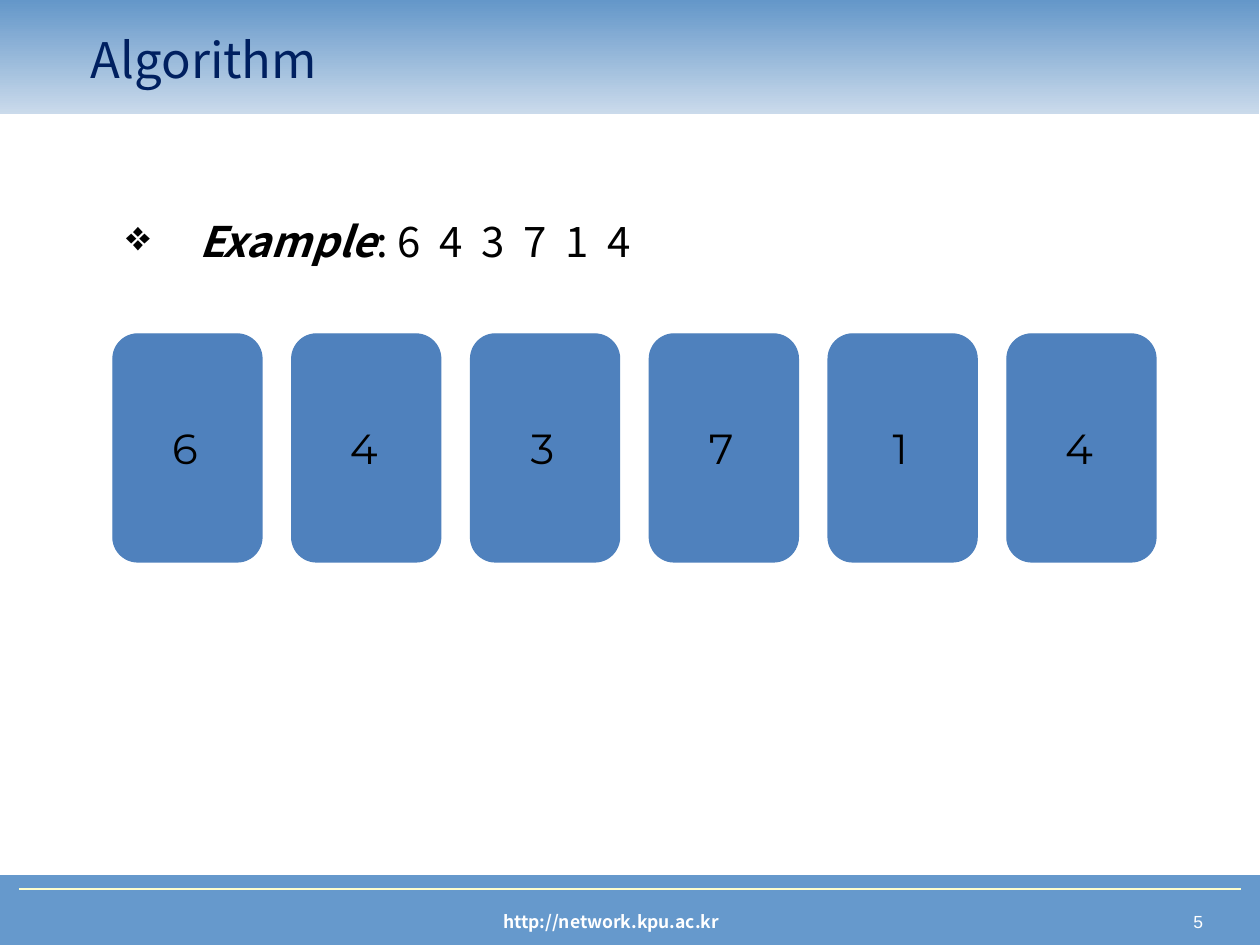
"""Build the Algorithm slide with its row of number cards."""
from lxml import etree
from pptx import Presentation
from pptx.dml.color import RGBColor
from pptx.enum import shapes, text
from pptx.oxml import ns
from pptx import util as u

PX = u.Inches(10) / 1260
HEX = {"bar": "6699CC", "top": "6497C9", "fade": "CADAEB", "rule": "FFFFCC",
       "card": "4F81BD", "navy": "002060", "black": "000000", "white": "FFFFFF"}
RGB = {name: RGBColor.from_string(code) for name, code in HEX.items()}
NOTO = "Noto Sans CJK KR"
KIND = shapes.MSO_SHAPE
SIDE = text.PP_ALIGN
MID = text.MSO_ANCHOR.MIDDLE

deck = Presentation()
deck.slide_width, deck.slide_height = u.Inches(10), u.Inches(7.5)
slide = deck.slides.add_slide(deck.slide_layouts[6])
items = slide.shapes


def px(*sizes):
    return [round(size * PX) for size in sizes]


def write(shape, words, size=24, font=NOTO, color="black", align=SIDE.LEFT,
          anchor=text.MSO_ANCHOR.TOP, pad=(13, 6, 13, 6), lead="", bullet=""):
    frame = shape.text_frame
    frame.word_wrap = True
    frame.vertical_anchor = anchor
    (frame.margin_left, frame.margin_top,
     frame.margin_right, frame.margin_bottom) = px(*pad)
    para = frame.paragraphs[0]
    para.alignment = align
    if bullet:
        props = para._p.get_or_add_pPr()
        indent = px(73)[0]
        props.set("marL", str(indent))
        props.set("indent", str(-indent))
        etree.SubElement(props, ns.qn("a:buChar")).set("char", bullet)
    for part, strong in ((lead, True), (words, False)):
        if part:
            run = para.add_run()
            run.text = part
            run.font.size = u.Pt(size)
            run.font.name = font
            run.font.color.rgb = RGB[color]
            run.font.bold = run.font.italic = strong
    return para


foot = items.add_shape(KIND.RECTANGLE, *px(0, 876, 1260, 69))
foot.shadow.inherit = False
foot.fill.solid()
foot.fill.fore_color.rgb = foot.line.color.rgb = RGB["bar"]
foot.line.width = u.Pt(0.75)

page = items.add_textbox(*px(935, 905, 285, 34))
write(page, "5", size=10, font="Arial", color="white", align=SIDE.RIGHT,
      pad=(13, 6, 17, 6))
site = items.add_textbox(*px(286, 905, 650, 34))
line = write(site, "http://network.kpu.ac.kr", size=10, color="white", align=SIDE.CENTER)
line.runs[0].font.bold = True

rule = items.add_connector(shapes.MSO_CONNECTOR.STRAIGHT, *px(19, 889, 1241, 889))
rule.line.color.rgb = RGB["rule"]
rule.line.width = u.Pt(1.5)
etree.SubElement(rule._element.spPr, ns.qn("a:effectLst"))

head = items.add_shape(KIND.RECTANGLE, *px(-1, 0, 1260, 114))
head.shadow.inherit = False
head.line.fill.background()
head.fill.gradient()
head.fill.gradient_angle = 270
for stop, name in zip(head.fill.gradient_stops, ("top", "fade")):
    stop.color.rgb = RGB[name]

title = items.add_textbox(*px(78, 20, 1063, 78))
write(title, "Algorithm", size=28, color="navy", anchor=MID)
body = items.add_textbox(*px(113, 214, 1062, 79))
write(body, ": 6  4  3  7  1  4", lead="Example", bullet="❖", pad=(13, 1, 13, 6))

first, last, cards = 113, 1007, "643714"
step = (last - first) / (len(cards) - 1)
for i, digit in enumerate(cards):
    card = items.add_shape(KIND.ROUNDED_RECTANGLE, *px(first + i * step, 334, 149, 228))
    card.shadow.inherit = False
    card.fill.solid()
    card.fill.fore_color.rgb = card.line.color.rgb = RGB["card"]
    card.line.width = u.Pt(0.75)
    write(card, digit, font="Montserrat", align=SIDE.CENTER, anchor=MID, pad=(0, 0, 5, 0))

deck.save("out.pptx")
